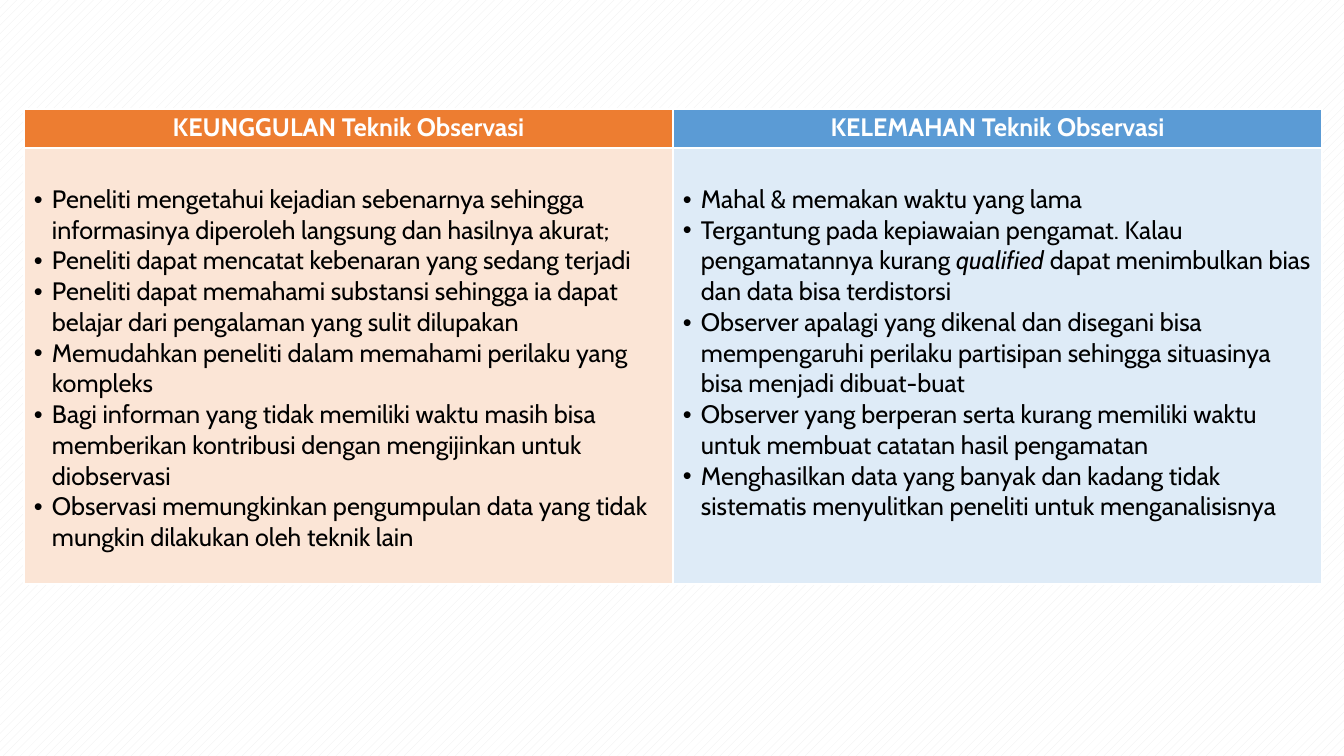
from lxml.etree import SubElement
from pptx import Presentation
from pptx.dml.color import RGBColor
from pptx.enum.dml import MSO_PATTERN
from pptx.enum.text import MSO_ANCHOR, PP_ALIGN
from pptx.oxml.ns import qn
from pptx.util import Pt

SCALE = 914400 / 100.8
FONT = "Cabin"
WHITE = RGBColor(0xFF, 0xFF, 0xFF)
BLACK = RGBColor(0x00, 0x00, 0x00)
HATCH = RGBColor(0xED, 0xED, 0xED)
ORANGE = RGBColor(0xED, 0x7D, 0x31)
PEACH = RGBColor(0xFB, 0xE5, 0xD6)
BLUE = RGBColor(0x5B, 0x9B, 0xD5)
PALE = RGBColor(0xDE, 0xEB, 0xF7)

# Each point is a list of (text, italic) runs
PROS = [
    [("Peneliti mengetahui kejadian sebenarnya sehingga informasinya "
      "diperoleh langsung dan hasilnya akurat;", False)],
    [("Peneliti dapat mencatat kebenaran yang sedang terjadi", False)],
    [("Peneliti dapat memahami substansi sehingga ia dapat belajar dari "
      "pengalaman yang sulit dilupakan", False)],
    [("Memudahkan peneliti dalam memahami perilaku yang kompleks", False)],
    [("Bagi informan yang tidak memiliki waktu masih bisa memberikan "
      "kontribusi dengan mengijinkan untuk diobservasi", False)],
    [("Observasi memungkinkan pengumpulan data yang tidak mungkin "
      "dilakukan oleh teknik lain", False)],
]
CONS = [
    [("Mahal & memakan waktu yang lama", False)],
    [("Tergantung pada kepiawaian pengamat. Kalau pengamatannya kurang ", False),
     ("qualified ", True),
     ("dapat menimbulkan bias dan data bisa terdistorsi", False)],
    [("Observer apalagi yang dikenal dan disegani bisa mempengaruhi perilaku "
      "partisipan sehingga situasinya bisa menjadi dibuat-buat", False)],
    [("Observer yang berperan serta kurang memiliki waktu untuk membuat "
      "catatan hasil pengamatan", False)],
    [("Menghasilkan data yang banyak dan kadang tidak sistematis "
      "menyulitkan peneliti untuk menganalisisnya", False)],
]
SIDES = [
    ("KEUNGGULAN Teknik Observasi", ORANGE, PROS, PEACH),
    ("KELEMAHAN Teknik Observasi", BLUE, CONS, PALE),
]


def px(num):
    return round(num * SCALE)


def add_run(para, text, color, bold=False, italic=False):
    run = para.add_run()
    run.text = text
    font = run.font
    font.name, font.size = FONT, Pt(18)
    font.bold, font.italic = bold, italic
    font.color.rgb = color


def style_cell(cell, color, top=5):
    # White rules on all four sides, then the fill
    props = cell._tc.get_or_add_tcPr()
    for side in ("L", "R", "T", "B"):
        line = SubElement(props, qn("a:ln" + side), w=str(Pt(2.25)))
        fill = SubElement(line, qn("a:solidFill"))
        SubElement(fill, qn("a:srgbClr"), val=str(WHITE))
    cell.fill.solid()
    cell.fill.fore_color.rgb = color
    cell.margin_left = cell.margin_right = px(10)
    cell.margin_top, cell.margin_bottom = px(top), px(5)


def add_head(cell, text, color):
    style_cell(cell, color)
    cell.vertical_anchor = MSO_ANCHOR.MIDDLE
    para = cell.text_frame.paragraphs[0]
    para.alignment = PP_ALIGN.CENTER
    para.line_spacing = 0.85
    add_run(para, text, WHITE, bold=True)


def add_list(cell, points, color):
    style_cell(cell, color, top=36)
    frame = cell.text_frame
    for num, point in enumerate(points):
        para = frame.add_paragraph() if num else frame.paragraphs[0]
        props = para._p.get_or_add_pPr()
        props.set("marL", str(px(18)))
        props.set("indent", str(px(-18)))
        SubElement(props, qn("a:buFont"), typeface="Arial")
        SubElement(props, qn("a:buChar"), char="•")
        for text, italic in point:
            add_run(para, text, BLACK, italic=italic)


def main():
    deck = Presentation()
    deck.slide_width, deck.slide_height = px(1344), px(756)
    slide = deck.slides.add_slide(deck.slide_layouts[6])

    # Hatched background
    back = slide.background.fill
    back.patterned()
    back.pattern = MSO_PATTERN.DASHED_UPWARD_DIAGONAL
    back.fore_color.rgb, back.back_color.rgb = HATCH, WHITE

    # Table of strengths and weaknesses
    frame = slide.shapes.add_table(2, 2, px(24), px(109), px(1298), px(475))
    table = frame.table
    table.rows[0].height, table.rows[1].height = px(39), px(436)
    for col, (title, dark, points, light) in enumerate(SIDES):
        table.columns[col].width = px(649)
        add_head(table.cell(0, col), title, dark)
        add_list(table.cell(1, col), points, light)

    deck.save("out.pptx")


if __name__ == "__main__":
    main()
